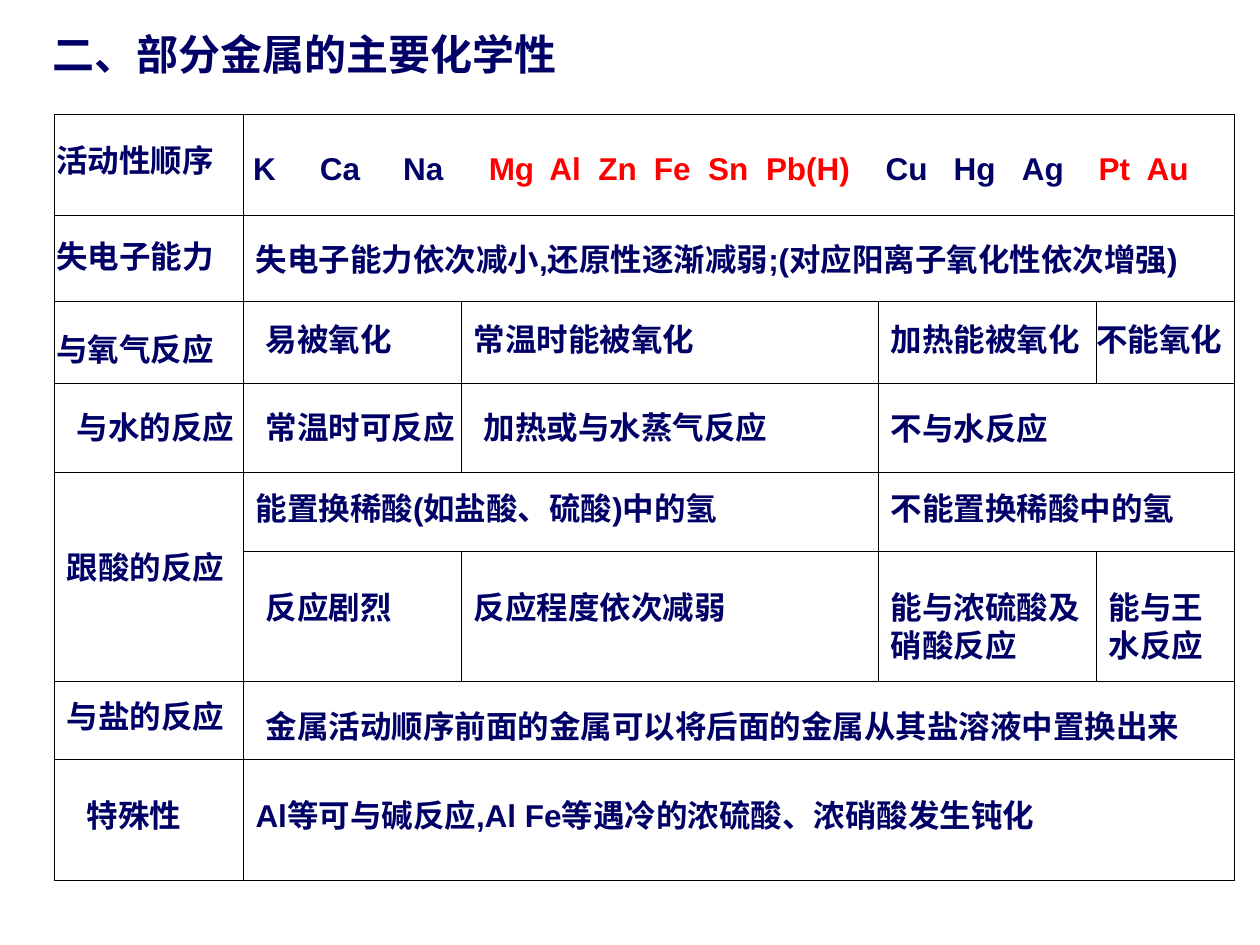
"""Build a slide tabulating the chemical properties of common metals."""
from lxml import etree
from pptx import Presentation
from pptx import util as u
from pptx.dml.color import RGBColor
from pptx.enum import text
from pptx.oxml.ns import qn

NAVY, RED, BLACK = "000066", "FF0000", "000000"
FONT = "Arial"
TITLE = "二、部分金属的主要化学性"
LEFT, TOP = 0.43, 0.91
COLUMNS = [1.5, 1.73, 3.31, 1.73, 1.1]
ROWS = [0.8, 0.68, 0.65, 0.71, 0.63, 1.03, 0.62, 0.96]
# first row, first column, last row, last column
MERGES = [(0, 1, 0, 4), (1, 1, 1, 4), (3, 3, 3, 4), (4, 0, 5, 0),
          (4, 1, 4, 2), (4, 3, 4, 4), (6, 1, 6, 4), (7, 1, 7, 4)]
METALS = [
    (["K", "Ca", "Na"], NAVY),
    (["Mg", "Al", "Zn", "Fe", "Sn", "Pb(H)"], RED),
    (["Cu", "Hg", "Ag"], NAVY),
    (["Pt", "Au"], RED),
]
METAL_STOPS = [0.53, 1.19, 1.87, 2.35, 2.74, 3.18, 3.61, 4.07, 5.02, 5.56, 6.1, 6.71, 7.09]
# row, column, columns spanned, shift right, shift down, side inset, wording
ENTRIES = [
    (0, 0, 1, -0.08, 0.16, 0.1, "活动性顺序"),
    (1, 0, 1, -0.08, 0.12, 0.1, "失电子能力"),
    (1, 1, 4, 0, 0.15, 0.1, "失电子能力依次减小,还原性逐渐减弱;(对应阳离子氧化性依次增强)"),
    (2, 0, 1, -0.08, 0.18, 0.1, "与氧气反应"),
    (2, 1, 1, 0.08, 0.1, 0.1, "易被氧化"),
    (2, 2, 1, 0, 0.1, 0.1, "常温时能被氧化"),
    (2, 3, 1, 0, 0.1, 0.1, "加热能被氧化"),
    (2, 4, 1, 0, 0.1, 0, "不能氧化"),
    (3, 0, 1, 0.08, 0.15, 0.1, "与水的反应"),
    (3, 1, 1, 0.08, 0.15, 0.1, "常温时可反应"),
    (3, 2, 1, 0.08, 0.15, 0.1, "加热或与水蒸气反应"),
    (3, 3, 2, 0, 0.16, 0.1, "不与水反应"),
    (4, 0, 1, 0.08, 0.55, 0.02, "跟酸的反应"),
    (4, 1, 2, 0, 0.08, 0.1, "能置换稀酸(如盐酸、硫酸)中的氢"),
    (4, 3, 2, 0, 0.08, 0.1, "不能置换稀酸中的氢"),
    (5, 1, 1, 0.08, 0.24, 0.1, "反应剧烈"),
    (5, 2, 1, 0, 0.24, 0.1, "反应程度依次减弱"),
    (5, 3, 1, 0, 0.24, 0.1, "能与浓硫酸及硝酸反应"),
    (5, 4, 1, 0, 0.24, 0.1, "能与王水反应"),
    (6, 0, 1, 0, 0.07, 0.1, "与盐的反应"),
    (6, 1, 4, 0.08, 0.15, 0.1, "金属活动顺序前面的金属可以将后面的金属从其盐溶液中置换出来"),
    (7, 0, 1, 0.16, 0.24, 0.1, "特殊性"),
    (7, 1, 4, 0, 0.24, 0.1, "Al等可与碱反应,Al Fe等遇冷的浓硫酸、浓硝酸发生钝化"),
]


def color(value):
    return RGBColor.from_string(value)


def add_run(paragraph, wording, size=18, fill=NAVY):
    run = paragraph.add_run()
    run.text = wording
    run.font.name = FONT
    run.font.size = u.Pt(size)
    run.font.bold = True
    run.font.color.rgb = color(fill)


def format_frame(frame, inset):
    frame.word_wrap = True
    frame.vertical_anchor = text.MSO_ANCHOR.TOP
    frame.margin_left = frame.margin_right = u.Inches(inset)
    frame.margin_top = frame.margin_bottom = u.Inches(0.05)
    paragraph = frame.paragraphs[0]
    paragraph.alignment = text.PP_ALIGN.LEFT
    return paragraph


def add_entry(slide, row, column, span, right, down, inset):
    box = slide.shapes.add_textbox(
        u.Inches(LEFT + sum(COLUMNS[:column]) + right),
        u.Inches(TOP + sum(ROWS[:row]) + down),
        u.Inches(sum(COLUMNS[column:column + span])), u.Inches(0.4))
    return format_frame(box.text_frame, inset)


def add_title(slide):
    title = slide.shapes.title
    title.left, title.top = u.Inches(0.32), u.Inches(0.18)
    title.width, title.height = u.Inches(4.37), u.Inches(0.5)
    add_run(format_frame(title.text_frame, 0.1), TITLE, size=24)


def add_borders(cell):
    properties = cell._tc.get_or_add_tcPr()
    for side in ("a:lnL", "a:lnR", "a:lnT", "a:lnB"):
        line = etree.SubElement(properties, qn(side), w=str(u.Pt(0.45)))
        fill = etree.SubElement(line, qn("a:solidFill"))
        etree.SubElement(fill, qn("a:srgbClr"), val=BLACK)


def add_grid(slide):
    table = slide.shapes.add_table(
        len(ROWS), len(COLUMNS), u.Inches(LEFT), u.Inches(TOP),
        u.Inches(sum(COLUMNS)), u.Inches(sum(ROWS))).table
    table.first_row = table.horz_banding = False
    for column, width in zip(table.columns, COLUMNS):
        column.width = u.Inches(width)
    for row, height in zip(table.rows, ROWS):
        row.height = u.Inches(height)
    for cell in table.iter_cells():
        add_borders(cell)
        cell.fill.background()
    for top, left, bottom, right in MERGES:
        table.cell(top, left).merge(table.cell(bottom, right))


def add_metals(slide):
    paragraph = add_entry(slide, 0, 1, 4, 0.08, 0.22, 0)
    stops = etree.SubElement(paragraph._p.get_or_add_pPr(), qn("a:tabLst"))
    for stop in METAL_STOPS:
        etree.SubElement(stops, qn("a:tab"), pos=str(u.Inches(stop)), algn="l")
    for index, (symbols, fill) in enumerate(METALS):
        ending = "\t" if index < len(METALS) - 1 else ""
        add_run(paragraph, "\t".join(symbols) + ending, fill=fill)


def main():
    presentation = Presentation()
    presentation.slide_width, presentation.slide_height = u.Inches(10), u.Inches(7.5)
    slide = presentation.slides.add_slide(presentation.slide_layouts[5])
    add_title(slide)
    add_grid(slide)
    add_metals(slide)
    for *place, wording in ENTRIES:
        add_run(add_entry(slide, *place), wording)
    presentation.save("out.pptx")


if __name__ == "__main__":
    main()
